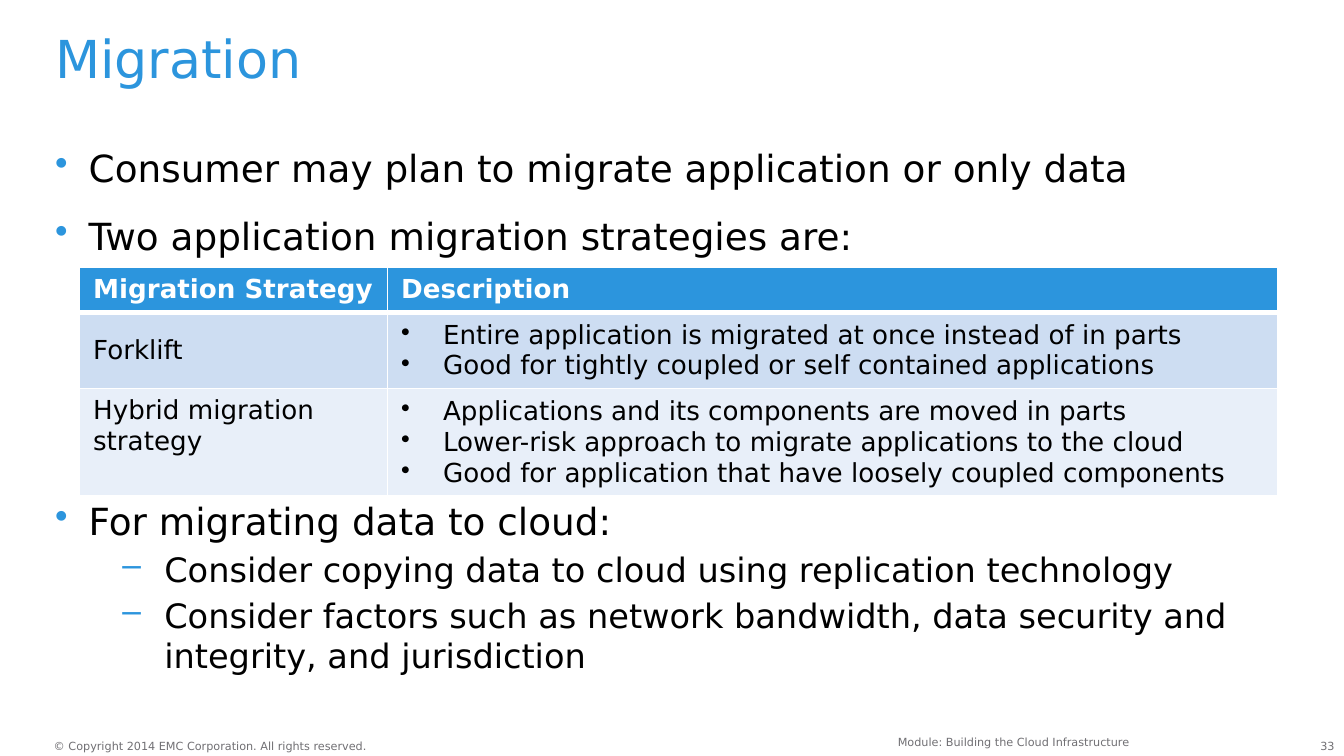
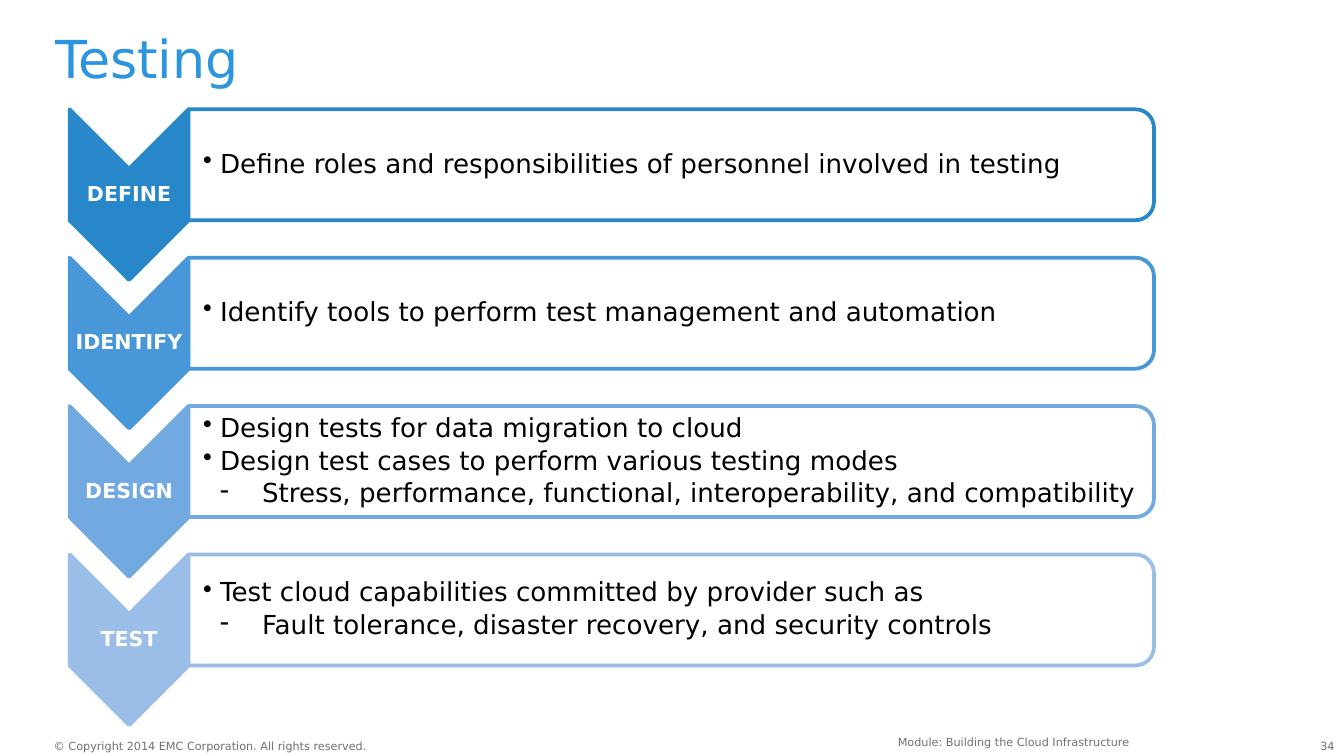
from math import cos, pi, sin

from lxml.etree import SubElement
from pptx import Presentation
from pptx.dml.color import RGBColor
from pptx.enum.text import MSO_ANCHOR as Anchor, PP_ALIGN as Align
from pptx.oxml.ns import qn
from pptx.util import Pt

FONT = "DejaVu Sans"
COLORS = {
    "accent": "2C95DD", "text": "000000", "footer": "717074", "white": "FFFFFF",
    "row_odd": "CDDDF2", "row_even": "E8EFF9",
    "define": "2887C9", "identify": "4898D9", "design": "72A9E0", "test": "9ABEE8",
}
COPYRIGHT = "© Copyright 2014 EMC Corporation. All rights reserved."
MODULE = "Module: Building the Cloud Infrastructure"

FOOTER = dict(size=6, color="footer")
POINT = dict(size=20, left=18, hang=18, bullet="•", bullet_color="accent")
SUBPOINT = dict(size=18, left=58.5, hang=22.5, bullet="–", bullet_color="accent", before=3)
CELL_POINT = dict(left=22.5, hang=22.5, bullet="•")
STEP_POINT = dict(left=9, hang=9, bullet="•", spacing=0.9, after=2.5)
STEP_SUBPOINT = dict(STEP_POINT, left=31.5, hang=22.5, bullet="-")

STRATEGIES = [
    ("Forklift", Anchor.MIDDLE, "row_odd", 39.8, [
        "Entire application is migrated at once instead of in parts",
        "Good for tightly coupled or self contained applications"]),
    ("Hybrid migration strategy", Anchor.TOP, "row_even", 56.1, [
        "Applications and its components are moved in parts",
        "Lower-risk approach to migrate applications to the cloud",
        "Good for application that have loosely coupled components"]),
]
STEPS = [
    ("define", [
        ("Define roles and responsibilities of personnel involved in testing", STEP_POINT)]),
    ("identify", [
        ("Identify tools to perform test management and automation", STEP_POINT)]),
    ("design", [
        ("Design tests for data migration to cloud", STEP_POINT),
        ("Design test cases to perform various testing modes", STEP_POINT),
        ("Stress, performance, functional, interoperability, and compatibility",
         STEP_SUBPOINT)]),
    ("test", [
        ("Test cloud capabilities committed by provider such as", STEP_POINT),
        ("Fault tolerance, disaster recovery, and security controls", STEP_SUBPOINT)]),
]


def rgb(name):
    return RGBColor.from_string(COLORS[name])


def write(frame, text, size=14, color="text", bold=False, align=Align.LEFT, left=0, hang=0,
          bullet=None, bullet_color=None, before=0, after=0, spacing=1.0):
    """Add one formatted paragraph, using the frame's empty first one if it is free."""
    first = frame.paragraphs[0]
    paragraph = frame.add_paragraph() if first.runs else first
    props = paragraph._p.get_or_add_pPr()
    if bullet:
        props.set("marL", str(Pt(left)))
        props.set("indent", str(-Pt(hang)))
        if bullet_color:
            tint = SubElement(props, qn("a:buClr"))
            SubElement(tint, qn("a:srgbClr"), val=COLORS[bullet_color])
        SubElement(props, qn("a:buChar"), char=bullet)
    paragraph.alignment = align
    paragraph.line_spacing = spacing
    paragraph.space_before = Pt(before)
    paragraph.space_after = Pt(after)
    run = paragraph.add_run()
    run.text = text
    run.font.name = FONT
    run.font.size = Pt(size)
    run.font.bold = bold
    run.font.color.rgb = rgb(color)


def set_insets(frame, left=0, top=0, right=0, bottom=0):
    frame.margin_left, frame.margin_top = Pt(left), Pt(top)
    frame.margin_right, frame.margin_bottom = Pt(right), Pt(bottom)


def add_text(slide, box, paragraphs, wrap=True):
    """Place a text box without insets holding (text, format) paragraphs."""
    frame = slide.shapes.add_textbox(*map(Pt, box)).text_frame
    frame.word_wrap = wrap
    set_insets(frame)
    for text, style in paragraphs:
        write(frame, text, **style)


def add_base_slide(deck, title, number):
    slide = deck.slides.add_slide(deck.slide_layouts[6])
    right_footer = dict(FOOTER, align=Align.RIGHT)
    add_text(slide, (692.6, 396, 22.3, 7.2), [(str(number), right_footer)])
    add_text(slide, (28.8, 396, 170.6, 7.2), [(COPYRIGHT, FOOTER)], wrap=False)
    add_text(slide, (204, 393.8, 400.8, 7.2), [(MODULE, right_footer)])
    add_text(slide, (29.5, 18, 666, 36), [(title, dict(size=28, color="accent", spacing=0.9))])
    return slide


def style_cell(cell, fill, anchor, top=1, bottom=1):
    props = cell._tc.get_or_add_tcPr()
    for side, width in (("L", 1), ("R", 1), ("T", top), ("B", bottom)):
        border = SubElement(props, qn(f"a:ln{side}"), w=str(Pt(width)))
        ink = SubElement(border, qn("a:solidFill"))
        SubElement(ink, qn("a:srgbClr"), val=COLORS["white"])
    cell.fill.solid()
    cell.fill.fore_color.rgb = rgb(fill)
    cell.vertical_anchor = anchor


def add_strategy_table(slide, left, top, widths, header_height):
    heights = [header_height] + [row[3] for row in STRATEGIES]
    table = slide.shapes.add_table(len(heights), len(widths), Pt(left), Pt(top),
                                   Pt(sum(widths)), Pt(sum(heights))).table
    for column, width in zip(table.columns, widths):
        column.width = Pt(width)
    for row, height in zip(table.rows, heights):
        row.height = Pt(height)
    for column, heading in enumerate(("Migration Strategy", "Description")):
        cell = table.cell(0, column)
        style_cell(cell, "accent", Anchor.MIDDLE, bottom=3)
        write(cell.text_frame, heading, color="white", bold=True)
    for row, (strategy, anchor, fill, _, traits) in enumerate(STRATEGIES, 1):
        name_cell, trait_cell = table.cell(row, 0), table.cell(row, 1)
        top_border = 3 if row == 1 else 1
        style_cell(name_cell, fill, anchor, top_border)
        style_cell(trait_cell, fill, Anchor.MIDDLE, top_border)
        write(name_cell.text_frame, strategy)
        for trait in traits:
            write(trait_cell.text_frame, trait, **CELL_POINT)


def add_outline(slide, points, fill, line):
    """Draw a closed shape with rounded line joins and return it."""
    start, *rest = [(Pt(x), Pt(y)) for x, y in points]
    builder = slide.shapes.build_freeform(*start)
    builder.add_line_segments(rest, close=True)
    shape = builder.convert_to_shape()
    shape.shadow.inherit = False
    shape.fill.solid()
    shape.fill.fore_color.rgb = rgb(fill)
    shape.line.color.rgb = rgb(line)
    shape.line.width = Pt(2)
    SubElement(shape._element.spPr.find(qn("a:ln")), qn("a:round"))
    shape.text_frame.word_wrap = True
    shape.text_frame.vertical_anchor = Anchor.MIDDLE
    return shape


def add_chevron(slide, box, label, color):
    left, top, width, height = box
    depth = width / 2
    middle, right = left + depth, left + width
    shoulder, tip = top + height - depth, top + height
    points = [(right, top), (right, shoulder), (middle, tip),
              (left, shoulder), (left, top), (middle, top + depth)]
    frame = add_outline(slide, points, color, color).text_frame
    set_insets(frame, 0.7, 32.4, 0.7, 32.4)
    write(frame, label, size=11, color="white", bold=True, align=Align.CENTER, spacing=0.9)


def add_step_panel(slide, box, paragraphs, color):
    """Draw a white panel whose right corners are rounded."""
    left, top, width, height = box
    radius, arc_steps = 9.9, 8
    right, bottom = left + width, top + height
    angles = [step * pi / 2 / arc_steps for step in range(arc_steps + 1)]
    upper = [(right - radius + radius * sin(a), top + radius - radius * cos(a)) for a in angles]
    lower = [(x, top + bottom - y) for x, y in reversed(upper)]
    panel = add_outline(slide, [(left, top), *upper, *lower, (left, bottom)], "white", color)
    tint = panel._element.spPr.find(qn("a:solidFill"))[0]
    SubElement(tint, qn("a:alpha"), val="90000")
    set_insets(panel.text_frame, 7.9, 3.6, 3.6, 3.6)
    for text, style in paragraphs:
        write(panel.text_frame, text, **style)


def add_steps(slide, left, top, pitch):
    chevron_width, chevron_height = 63.7, 91.4
    panel_width, panel_height = 517.2, 59.4
    for index, (step, paragraphs) in enumerate(STEPS):
        y = top + index * pitch
        add_chevron(slide, (left, y, chevron_width, chevron_height), step.upper(), step)
        add_step_panel(slide, (left + chevron_width, y, panel_width, panel_height),
                       paragraphs, step)


def build_migration(deck):
    slide = add_base_slide(deck, "Migration", 33)
    add_text(slide, (29.5, 78, 666, 60), [
        ("Consumer may plan to migrate application or only data", POINT),
        ("Two application migration strategies are:", dict(POINT, before=12))])
    add_text(slide, (29.5, 267, 666, 96), [
        ("For migrating data to cloud:", POINT),
        ("Consider copying data to cloud using replication technology", SUBPOINT),
        ("Consider factors such as network bandwidth, data security and integrity, "
         "and jurisdiction", SUBPOINT)])
    add_strategy_table(slide, 42.7, 143.3, (165, 477), 23.5)


def build_testing(deck):
    slide = add_base_slide(deck, "Testing", 34)
    add_steps(slide, 37.3, 58.6, 79.5)


def main():
    deck = Presentation()
    deck.slide_width, deck.slide_height = Pt(720), Pt(405)
    build_migration(deck)
    build_testing(deck)
    deck.save("out.pptx")


if __name__ == "__main__":
    main()
